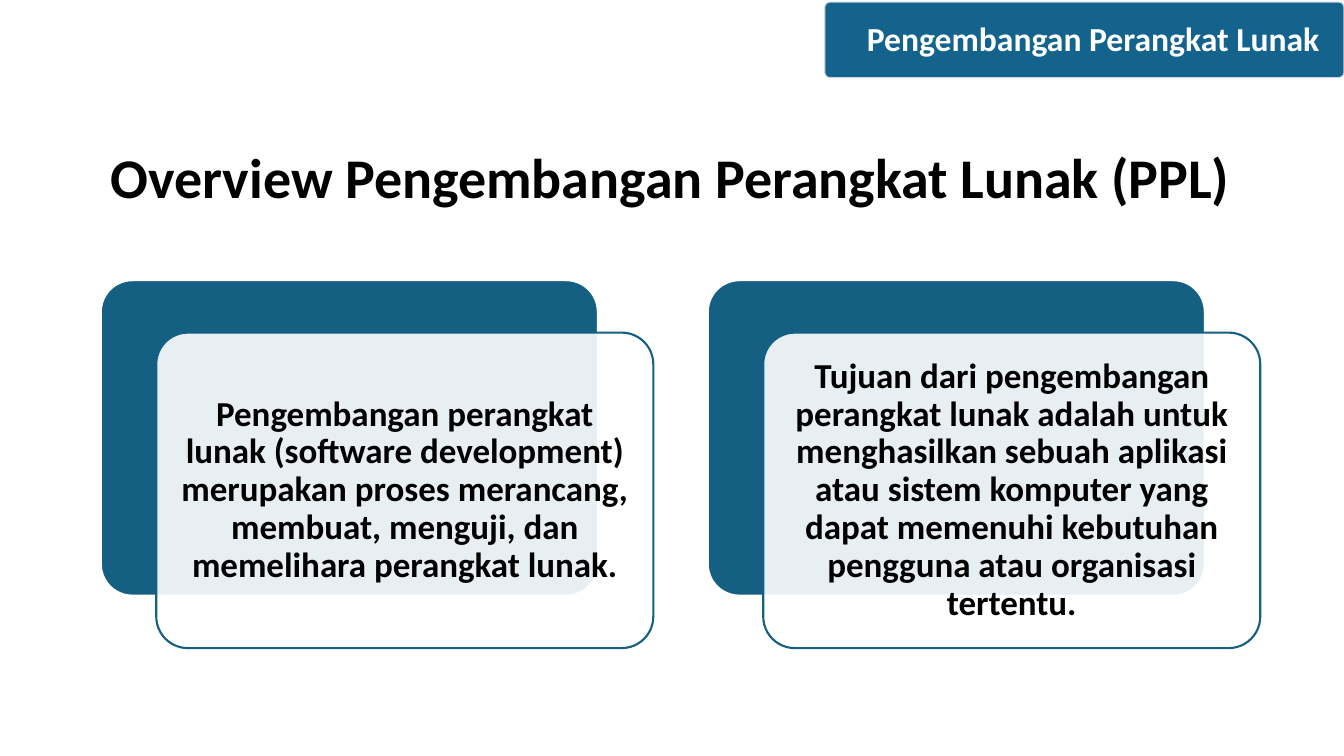
from pptx import Presentation
from pptx.dml.color import RGBColor
from pptx.enum.shapes import MSO_SHAPE as Shape
from pptx.enum.text import MSO_ANCHOR as Anchor, PP_ALIGN as Align
from pptx.oxml.ns import qn
from pptx.util import Inches, Pt
from lxml import etree

TITLE = "Overview Pengembangan Perangkat Lunak (PPL)"
TOPIC = "Pengembangan Perangkat Lunak"
CARDS = [
    "Pengembangan perangkat lunak (software development) merupakan proses "
    "merancang, membuat, menguji, dan memelihara perangkat lunak.",
    "Tujuan dari pengembangan perangkat lunak adalah untuk menghasilkan "
    "sebuah aplikasi atau sistem komputer yang dapat memenuhi kebutuhan "
    "pengguna atau organisasi tertentu.",
]

WHITE = RGBColor(0xFF, 0xFF, 0xFF)
BLACK = RGBColor(0, 0, 0)
TEAL = RGBColor(0x15, 0x60, 0x82)
BLUE = RGBColor(0x13, 0x63, 0x8C)
GREY = RGBColor(0xD5, 0xD6, 0xD8)

LEFT, TOP, STEP = 1, 2.78, 6.02
WIDE, HIGH = 4.93, 3.13
SHIFT_X, SHIFT_Y = 0.55, 0.52

prs = Presentation()
prs.slide_width, prs.slide_height = Inches(13.33), Inches(7.5)
slide = prs.slides.add_slide(prs.slide_layouts[6])


def add_panel(box, fill, line, width, round_by):
    panel = slide.shapes.add_shape(Shape.ROUNDED_RECTANGLE, *map(Inches, box))
    panel.adjustments[0] = round_by
    panel.shadow.inherit = False
    panel.fill.solid()
    panel.fill.fore_color.rgb = fill
    panel.line.color.rgb = line
    panel.line.width = Pt(width)
    return panel


def set_alpha(shape, percent):
    color = shape._element.spPr.find(qn("a:solidFill"))[0]
    etree.SubElement(color, qn("a:alpha")).set("val", str(percent * 1000))


def write(shape, text, size, color, align=Align.LEFT, spacing=1.0, pad=(0.1, 0.05)):
    """Fill a shape with one bold paragraph; pad is its side and top inset."""
    frame = shape.text_frame
    side, top = map(Inches, pad)
    look = dict(word_wrap=True, vertical_anchor=Anchor.MIDDLE,
                margin_left=side, margin_right=side,
                margin_top=top, margin_bottom=top)
    for key, value in look.items():
        setattr(frame, key, value)
    para = frame.paragraphs[0]
    para.alignment, para.line_spacing = align, spacing
    run = para.add_run()
    run.text = text
    for key, value in dict(name="Calibri", size=Pt(size), bold=True).items():
        setattr(run.font, key, value)
    run.font.color.rgb = color


title = slide.shapes.add_textbox(*map(Inches, (1, 1.17, 11.5, 1.24)))
write(title, TITLE, 40, BLACK, spacing=0.9)

for i, text in enumerate(CARDS):
    x = LEFT + i * STEP
    add_panel((x, TOP, WIDE, HIGH), TEAL, WHITE, 1.5, 0.1)
    card = add_panel((x + SHIFT_X, TOP + SHIFT_Y, WIDE, HIGH), WHITE, TEAL, 1.5, 0.1)
    set_alpha(card, 90)
    # The rounded shape's own text area is already inset by about 0.09.
    write(card, text, 25, BLACK, Align.CENTER, 0.9, (0.1, 0.1))

add_panel((8.18, 0.02, 5.15, 0.75), BLUE, GREY, 0.75, 0.07)
topic = slide.shapes.add_textbox(*map(Inches, (8.5, 0.13, 4.83, 0.5)))
write(topic, TOPIC, 24, WHITE)

prs.save("out.pptx")
